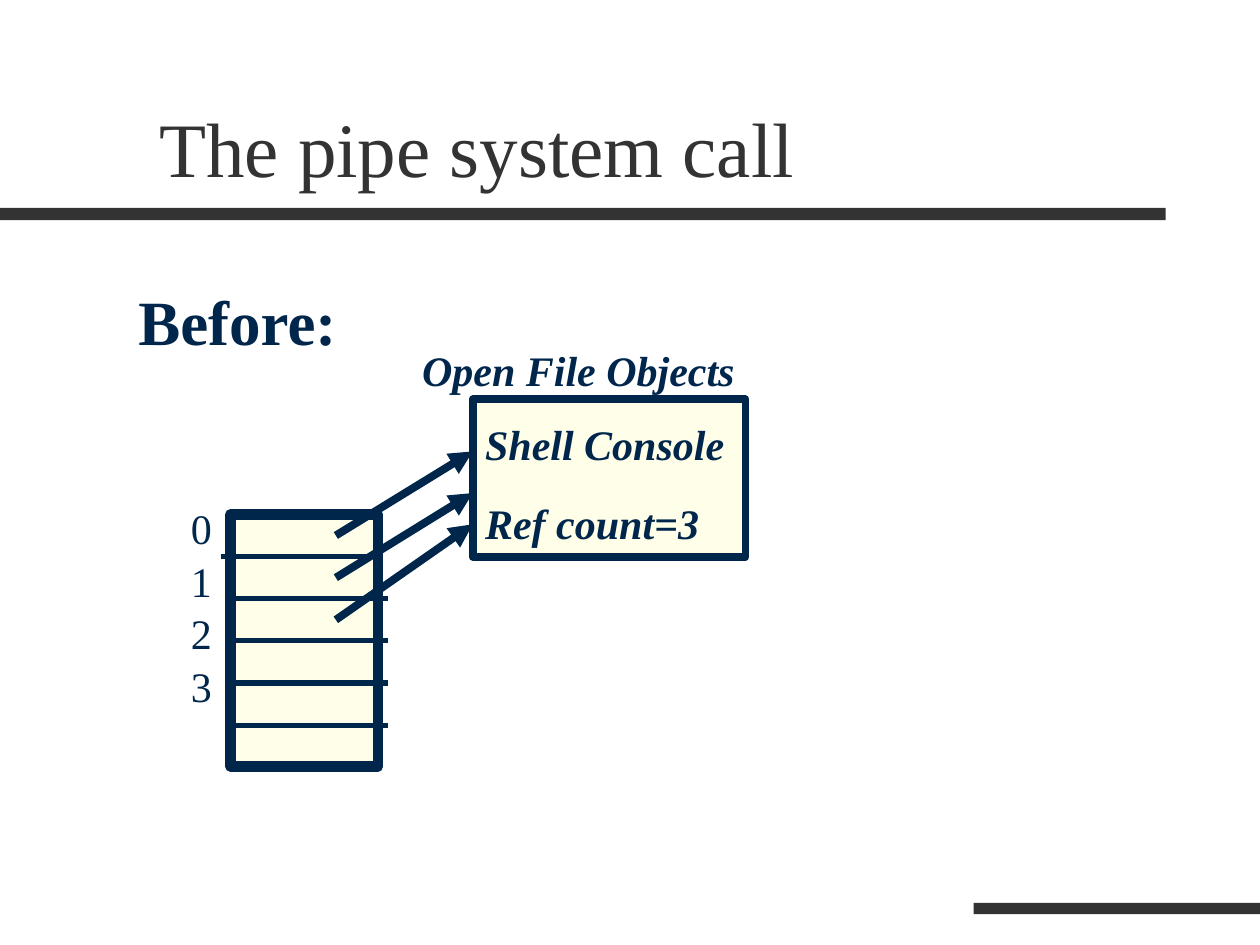
from pptx import Presentation
from pptx.dml.color import RGBColor
from pptx.enum.shapes import MSO_CONNECTOR, MSO_SHAPE
from pptx.enum.text import MSO_ANCHOR
from pptx.oxml.ns import qn
from pptx.util import Cm, Pt
from lxml.etree import SubElement

CHARCOAL = RGBColor(0x33, 0x33, 0x33)
NAVY = RGBColor(0x00, 0x26, 0x4C)
CREAM = RGBColor(0xFF, 0xFF, 0xE9)


class SlideBuilder:
    font_name = "Times New Roman"

    def __init__(self, slide):
        self.slide = slide

    def box(self, left, top, width, height, fill, line_width=None):
        shape = self.slide.shapes.add_shape(
            MSO_SHAPE.RECTANGLE, Cm(left), Cm(top), Cm(width), Cm(height))
        shape.shadow.inherit = False
        shape.fill.solid()
        shape.fill.fore_color.rgb = fill
        if line_width:
            shape.line.color.rgb = NAVY
            shape.line.width = Pt(line_width)
        else:
            shape.line.fill.background()

    def line(self, start_x, start_y, end_x, end_y, width, arrow=False):
        connector = self.slide.shapes.add_connector(
            MSO_CONNECTOR.STRAIGHT, Cm(start_x), Cm(start_y), Cm(end_x), Cm(end_y))
        connector.line.color.rgb = NAVY
        connector.line.width = Pt(width)
        if arrow:
            SubElement(connector.line._get_or_add_ln(), qn("a:tailEnd"), type="triangle")
        SubElement(connector._element.spPr, qn("a:effectLst"))

    def text(self, text, left, top, width, height, size, color=NAVY, bold=False,
             italic=False, space_before=0, line_spacing=1.05,
             anchor=MSO_ANCHOR.TOP, wrap=True):
        shape = self.slide.shapes.add_textbox(Cm(left), Cm(top), Cm(width), Cm(height))
        text_frame = shape.text_frame
        text_frame.word_wrap = wrap
        text_frame.vertical_anchor = anchor
        text_frame.text = text
        for paragraph in text_frame.paragraphs:
            paragraph.space_before = Pt(space_before)
            paragraph.line_spacing = line_spacing
            for run in paragraph.runs:
                run.font.name = self.font_name
                run.font.size = Pt(size)
                run.font.bold = bold
                run.font.italic = italic
                run.font.color.rgb = color


def main():
    presentation = Presentation()
    presentation.slide_width = Cm(25.4)
    presentation.slide_height = Cm(19.05)
    builder = SlideBuilder(presentation.slides.add_slide(presentation.slide_layouts[6]))

    builder.box(0, 4.19, 23.5, 0.25, CHARCOAL)
    builder.box(19.63, 18.2, 5.77, 0.23, CHARCOAL)
    builder.text("The pipe system call", 2.96, 0.85, 21.59, 3.17, 44, CHARCOAL,
                 line_spacing=1, anchor=MSO_ANCHOR.BOTTOM)

    table_left, table_top, row_height = 4.65, 10.37, 0.85
    builder.box(table_left, table_top, 2.97, 5.08, CREAM, 6)
    for row in range(1, 6):
        rule_left = table_left - 0.2 if row == 1 else table_left
        rule_top = table_top + row * row_height
        builder.line(rule_left, rule_top, rule_left + 3.18, rule_top, 3)

    object_left = 9.53
    builder.box(object_left, 8.05, 5.5, 3.18, CREAM, 4.5)
    for row, target in enumerate((9.1, 9.94, 10.57)):
        builder.line(6.77, table_top + (row + 0.5) * row_height, object_left, target,
                     4.5, arrow=True)

    builder.text("Open File Objects", 8.26, 6.77, 7.62, 1.27, 24, bold=True,
                 italic=True, space_before=15)
    builder.text("Shell Console\nRef count=3", object_left, 8.26, 5.5, 2.82, 24,
                 bold=True, italic=True, space_before=15)
    builder.text("Before:", 2.54, 5.5, 4.52, 1.78, 36, bold=True,
                 space_before=22.5, wrap=False)
    builder.text("0 1 2 3", 3.6, 9.95, 1.07, 4.32, 24, space_before=15)

    presentation.save("out.pptx")


if __name__ == "__main__":
    main()
